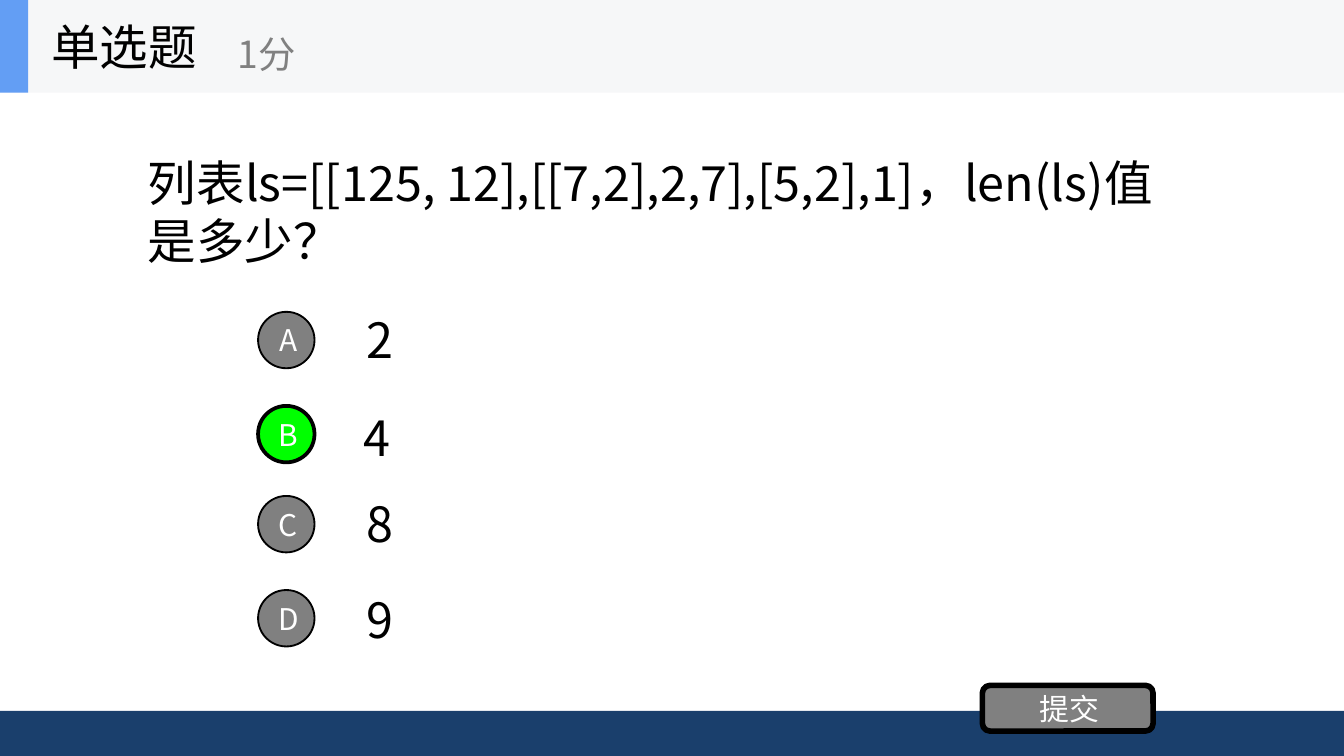
from pptx import Presentation
from pptx import util as u
from pptx.dml.color import RGBColor
from pptx.enum import shapes, text
from pptx.oxml.ns import qn
from lxml import etree

theme = {
    "font": "Noto Sans CJK SC",
    "black": "000000", "white": "FFFFFF", "gray": "808080", "green": "00FF00",
    "navy": "1A3F6C", "pale": "F6F7F8", "blue": "639EF4",
    "large": 26, "mid": 20, "small": 16,
}

# Widescreen page, 16:9
deck = Presentation()
deck.slide_width, deck.slide_height = u.Inches(10), u.Inches(10 * 9 / 16)
slide = deck.slides.add_slide(deck.slide_layouts[1])
kinds = shapes.MSO_SHAPE


def write(box, words, size, color, align=text.PP_ALIGN.LEFT):
    frame = box.text_frame
    frame.text = words
    frame.word_wrap = True
    frame.auto_size = text.MSO_AUTO_SIZE.NONE
    frame.vertical_anchor = text.MSO_ANCHOR.MIDDLE
    para = frame.paragraphs[0]
    para.alignment = align
    para.space_before = u.Pt(0)
    run = para.runs[0]
    run.font.name = theme["font"]
    run.font.size = u.Pt(theme[size])
    run.font.color.rgb = RGBColor.from_string(theme[color])
    # East Asian characters take their own font entry
    east = etree.SubElement(run.font._element, qn("a:ea"))
    east.set("typeface", theme["font"])


def draw(kind, place, fill, words=None, line=0):
    shape = slide.shapes.add_shape(kind, *map(u.Inches, place))
    shape.shadow.inherit = False
    shape.fill.solid()
    shape.fill.fore_color.rgb = RGBColor.from_string(theme[fill])
    if line:
        shape.line.color.rgb = RGBColor.from_string(theme["black"])
        shape.line.width = u.Pt(line)
    else:
        shape.line.fill.background()
    if words:
        frame = shape.text_frame
        frame.margin_left = u.Inches(0.03)
        frame.margin_right = frame.margin_top = frame.margin_bottom = 0
        write(shape, words, "small", "white", text.PP_ALIGN.CENTER)


# Footer and header bands
draw(kinds.RECTANGLE, (0, 5.29, 10, 0.34), "navy")
draw(kinds.RECTANGLE, (0, 0, 10, 0.69), "pale")
draw(kinds.RECTANGLE, (0, 0, 0.21, 0.69), "blue")

# Title and question, raised above the bands
title, body = slide.placeholders
for box, place, words in (
    (title, (0.28, 0, 2.08, 0.69), "单选题"),
    (body, (1, 0.69, 8, 1.76),
     "列表ls=[[125, 12],[[7,2],2,7],[5,2],1]，len(ls)值是多少？"),
):
    box.left, box.top, box.width, box.height = map(u.Inches, place)
    write(box, words, "large", "black")
    slide.shapes._spTree.append(box._element)

# The question has no bullet or hanging indent
props = body.text_frame.paragraphs[0]._p.get_or_add_pPr()
props.set("marL", "0")
props.set("indent", "0")
etree.SubElement(props, qn("a:buNone"))

# Score
score = slide.shapes.add_textbox(*map(u.Inches, (1.67, 0.12, 2.5, 0.56)))
write(score, "1分", "mid", "gray")

# Answers: letter, value, ring top, value left and top, fill, outline
for letter, value, top, left, row, fill, line in (
    ("A", "2", 2.32, 2.63, 2.26, "gray", 1),
    ("B", "4", 3.02, 2.61, 2.99, "green", 2),
    ("C", "8", 3.69, 2.63, 3.63, "gray", 1),
    ("D", "9", 4.39, 2.63, 4.34, "gray", 1),
):
    draw(kinds.OVAL, (1.92, top, 0.42, 0.42), fill, letter, line)
    label = slide.shapes.add_textbox(*map(u.Inches, (left, row, 7, 0.53)))
    write(label, value, "large", "black")

# Submit button
draw(kinds.ROUNDED_RECTANGLE, (7.31, 5.1, 1.27, 0.34), "gray", "提交", 3)

deck.save("out.pptx")
